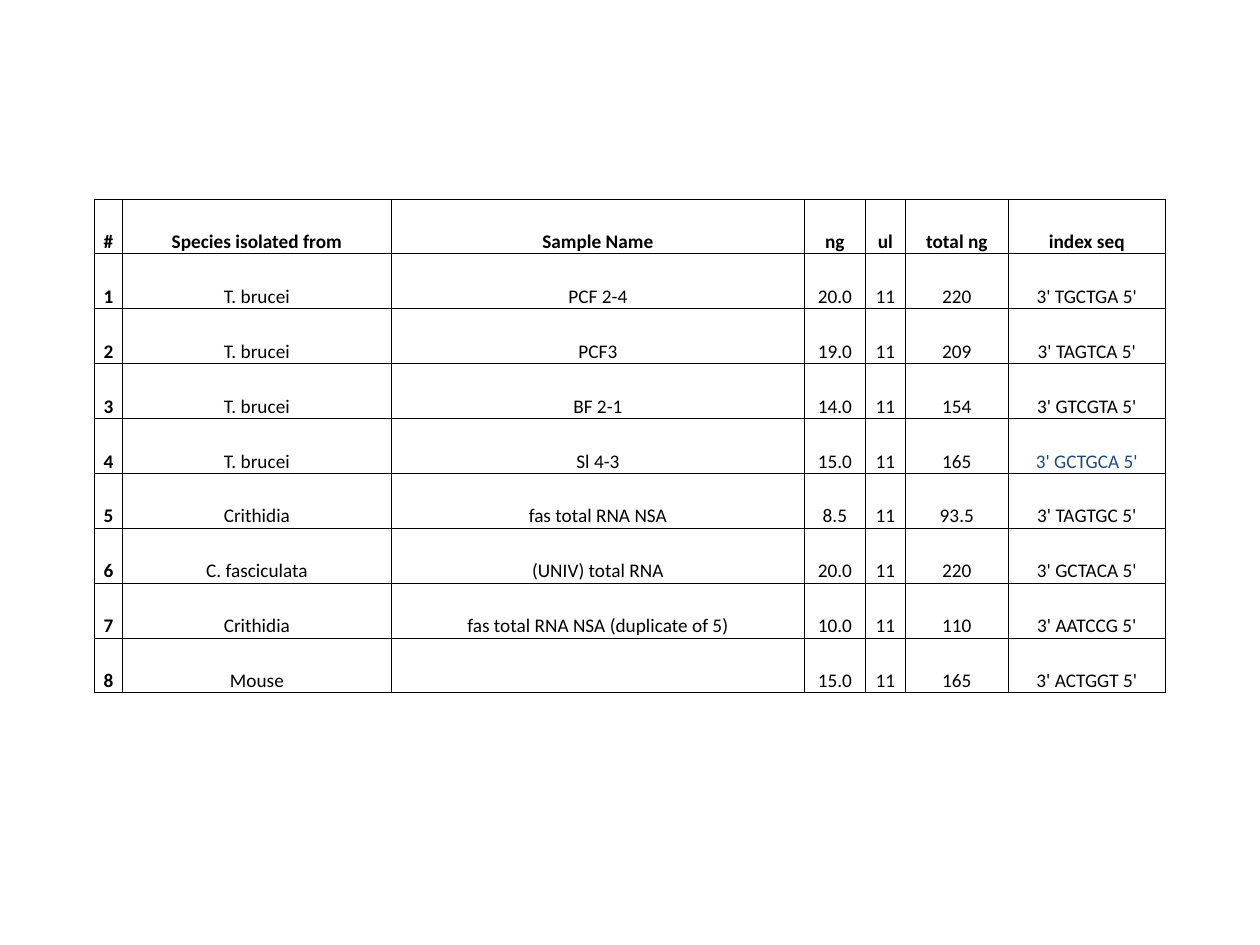
from pptx import Presentation
from pptx import util as u
from pptx.dml.color import RGBColor
from pptx.enum import text
from pptx.oxml import parse_xml
from pptx.oxml.ns import nsdecls

SCALE = 914400 / 126
BLACK = RGBColor(0x00, 0x00, 0x00)
NAVY = RGBColor(0x1F, 0x49, 0x7D)
FONT = "Calibri"

SLIDE_W, SLIDE_H = 1260, 945
TABLE_TOP, TABLE_H = 199, 494
COL_WIDTHS = [28, 269, 413, 61, 40, 103, 157]
HEADERS = ["#", "Species isolated from", "Sample Name", "ng", "ul", "total ng", "index seq"]
VOLUME = "11"
SAMPLES = [
    ("T. brucei", "PCF 2-4", "20.0", "220", "TGCTGA"),
    ("T. brucei", "PCF3", "19.0", "209", "TAGTCA"),
    ("T. brucei", "BF 2-1", "14.0", "154", "GTCGTA"),
    ("T. brucei", "Sl 4-3", "15.0", "165", "GCTGCA"),
    ("Crithidia", "fas total RNA NSA", "8.5", "93.5", "TAGTGC"),
    ("C. fasciculata", "(UNIV) total RNA", "20.0", "220", "GCTACA"),
    ("Crithidia", "fas total RNA NSA (duplicate of 5)", "10.0", "110", "AATCCG"),
    ("Mouse", "", "15.0", "165", "ACTGGT"),
]
HIGHLIGHTED_INDEX = "3' GCTGCA 5'"


def px(n):
    return u.Emu(round(n * SCALE))


def add_borders(cell):
    tc_pr = cell._tc.get_or_add_tcPr()
    for i, side in enumerate(("lnL", "lnR", "lnT", "lnB")):
        tc_pr.insert(i, parse_xml(
            f'<a:{side} {nsdecls("a")} w="{u.Pt(0.5)}"><a:solidFill>'
            f'<a:srgbClr val="{BLACK}"/></a:solidFill></a:{side}>'))


def format_cell(cell, value, bold):
    cell.fill.background()
    add_borders(cell)
    cell.margin_left = cell.margin_right = cell.margin_top = px(1)
    cell.margin_bottom = 0
    cell.vertical_anchor = text.MSO_ANCHOR.BOTTOM
    cell.text_frame.text = value
    p = cell.text_frame.paragraphs[0]
    p.alignment = text.PP_ALIGN.CENTER
    for r in p.runs:
        r.font.name = FONT
        r.font.size = u.Pt(11)
        r.font.bold = bold
        r.font.color.rgb = NAVY if value == HIGHLIGHTED_INDEX else BLACK


def sample_rows():
    return [
        [str(number), species, name, ng, VOLUME, total, f"3' {index} 5'"]
        for number, (species, name, ng, total, index) in enumerate(SAMPLES, 1)
    ]


def add_sample_table(s):
    rows = [HEADERS] + sample_rows()
    width = sum(COL_WIDTHS)
    left = (SLIDE_W - width) / 2
    frame = s.shapes.add_table(len(rows), len(HEADERS), px(left), px(TABLE_TOP),
                               px(width), px(TABLE_H))
    table = frame.table
    table.horz_banding = False
    for column, w in zip(table.columns, COL_WIDTHS):
        column.width = px(w)
    for i, values in enumerate(rows):
        table.rows[i].height = px(TABLE_H / len(rows))
        for j, value in enumerate(values):
            format_cell(table.cell(i, j), value, i == 0 or j == 0)


def main():
    prs = Presentation()
    prs.slide_width, prs.slide_height = px(SLIDE_W), px(SLIDE_H)
    s = prs.slides.add_slide(prs.slide_layouts[6])
    add_sample_table(s)
    prs.save("out.pptx")


if __name__ == "__main__":
    main()
